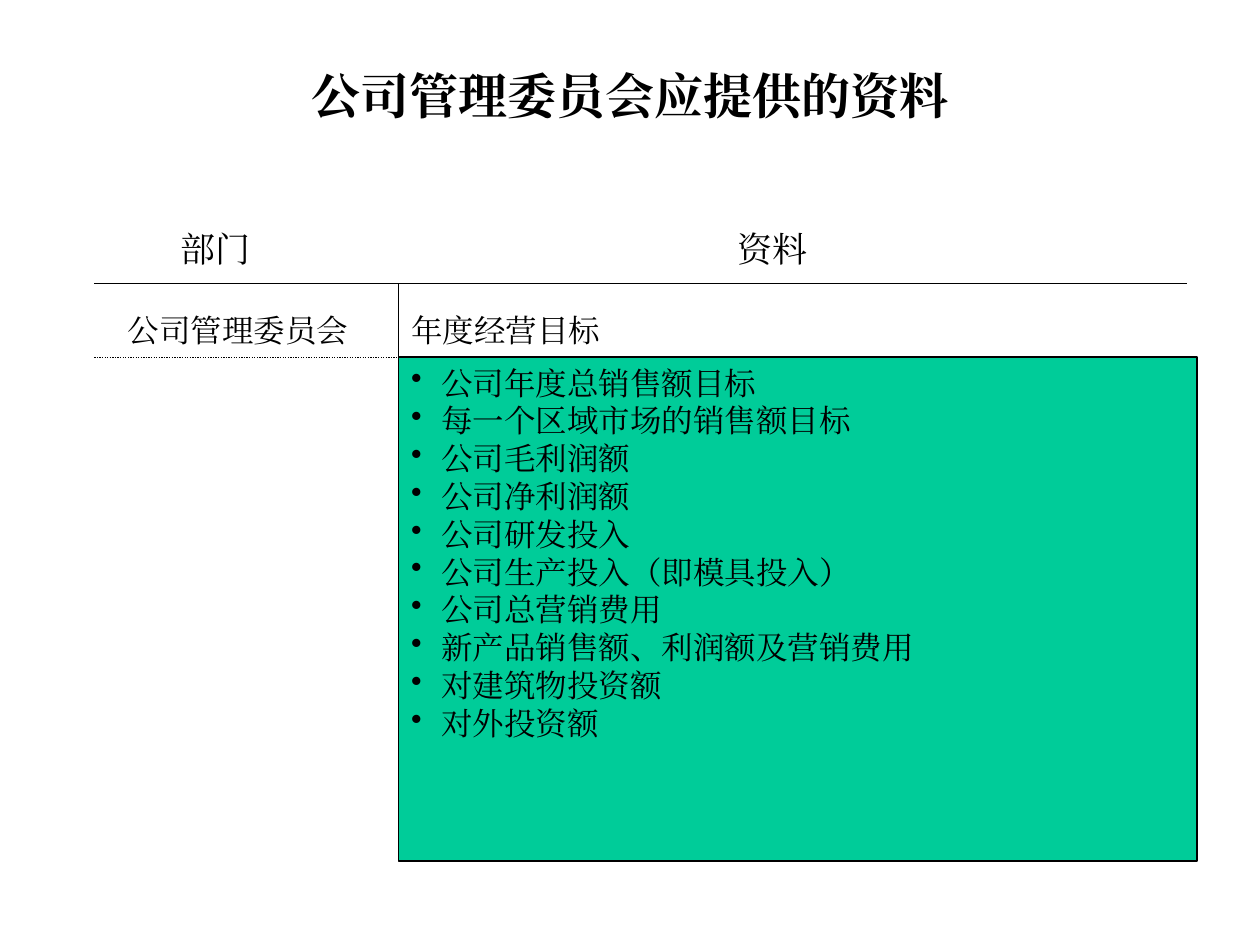
import pptx
import pptx.util
import pptx.dml.color
import pptx.enum.dml
import pptx.enum.shapes
import pptx.enum.text
import lxml.etree
from pptx.util import Cm, Pt

TITLE = "公司管理委员会应提供的资料"
GOALS = [
    "公司年度总销售额目标",
    "每一个区域市场的销售额目标",
    "公司毛利润额",
    "公司净利润额",
    "公司研发投入",
    "公司生产投入（即模具投入）",
    "公司总营销费用",
    "新产品销售额、利润额及营销费用",
    "对建筑物投资额",
    "对外投资额",
]
COLORS = {"ink": "000000", "panel": "00CC99"}
FONT = "Times New Roman"
HEAD, BODY = 20, 18

# Grid of the table, in cm
LEFT, DIVIDER, RIGHT = 1.9, 8.04, 23.92
HEAD_LINE, ROW_LINE, BOTTOM = 5.72, 7.2, 17.36
PANEL_WIDTH = 16.09
INDENT = 0.61

# text, left, top, width, height, size, wraps
LABELS = [
    ("部门", 3.39, 4.45, 1.9, 1.11, HEAD, False),
    ("资料", 14.61, 4.45, 3.39, 1.11, HEAD, True),
    ("公司管理委员会", 2.33, 6.14, 4.95, 1.02, BODY, False),
    ("年度经营目标", DIVIDER, 6.14, 4.32, 1.02, BODY, False),
]
# x1, y1, x2, y2, dotted
RULES = [
    (LEFT, ROW_LINE, RIGHT, ROW_LINE, True),
    (DIVIDER, HEAD_LINE, DIVIDER, BOTTOM, False),
    (LEFT, HEAD_LINE, RIGHT, HEAD_LINE, False),
]


def rgb(name):
    return pptx.dml.color.RGBColor.from_string(COLORS[name])


def add_text(p, text, size, bold=False):
    r = p.add_run()
    r.text = text
    for key, value in {"name": FONT, "size": Pt(size), "bold": bold}.items():
        setattr(r.font, key, value)
    r.font.color.rgb = rgb("ink")
    ea = lxml.etree.SubElement(r.font._element, pptx.oxml.ns.qn("a:ea"))
    ea.set("typeface", FONT)


def add_bullet(p):
    pPr = p._p.get_or_add_pPr()
    pPr.set("marL", str(Cm(INDENT)))
    pPr.set("indent", str(-Cm(INDENT)))
    bullet = lxml.etree.SubElement(pPr, pptx.oxml.ns.qn("a:buChar"))
    bullet.set("char", "•")


def format_frame(tf, anchor, wrap=True):
    values = {
        "margin_left": Cm(0.25), "margin_right": Cm(0.25),
        "margin_top": Cm(0.13), "margin_bottom": Cm(0.13),
        "vertical_anchor": anchor, "word_wrap": wrap,
        "auto_size": pptx.enum.text.MSO_AUTO_SIZE.NONE,
    }
    for key, value in values.items():
        setattr(tf, key, value)


def add_rule(shapes, x1, y1, x2, y2, dotted):
    line = shapes.add_connector(
        pptx.enum.shapes.MSO_CONNECTOR.STRAIGHT, Cm(x1), Cm(y1), Cm(x2), Cm(y2))
    line.line.color.rgb = rgb("ink")
    line.line.width = Pt(0.75)
    if dotted:
        line.line.dash_style = pptx.enum.dml.MSO_LINE.ROUND_DOT
    lxml.etree.SubElement(line._element.spPr, pptx.oxml.ns.qn("a:effectLst"))


def add_panel(shapes):
    sp = shapes.add_shape(
        pptx.enum.shapes.MSO_SHAPE.RECTANGLE, Cm(DIVIDER), Cm(ROW_LINE),
        Cm(PANEL_WIDTH), Cm(BOTTOM - ROW_LINE))
    sp.shadow.inherit = False
    sp.fill.solid()
    sp.fill.fore_color.rgb = rgb("panel")
    sp.line.color.rgb = rgb("ink")
    sp.line.width = Pt(0.75)
    tf = sp.text_frame
    format_frame(tf, pptx.enum.text.MSO_ANCHOR.TOP)
    for i, goal in enumerate(GOALS):
        p = tf.add_paragraph() if i else tf.paragraphs[0]
        p.alignment = pptx.enum.text.PP_ALIGN.LEFT
        add_bullet(p)
        add_text(p, goal, BODY)


def main():
    prs = pptx.Presentation()
    prs.slide_width, prs.slide_height = Cm(25.4), Cm(19.05)
    s = prs.slides.add_slide(prs.slide_layouts[5])

    title = s.shapes.title
    box = {"left": 1.9, "top": 1.06, "width": 21.6, "height": 1.7}
    for key, value in box.items():
        setattr(title, key, Cm(value))
    format_frame(title.text_frame, pptx.enum.text.MSO_ANCHOR.MIDDLE)
    p = title.text_frame.paragraphs[0]
    p.alignment = pptx.enum.text.PP_ALIGN.CENTER
    add_text(p, TITLE, 28, bold=True)

    for text, x, y, w, h, size, wrap in LABELS:
        tf = s.shapes.add_textbox(Cm(x), Cm(y), Cm(w), Cm(h)).text_frame
        format_frame(tf, pptx.enum.text.MSO_ANCHOR.TOP, wrap)
        add_text(tf.paragraphs[0], text, size)
    for rule in RULES:
        add_rule(s.shapes, *rule)
    add_panel(s.shapes)

    prs.save("out.pptx")


if __name__ == "__main__":
    main()
